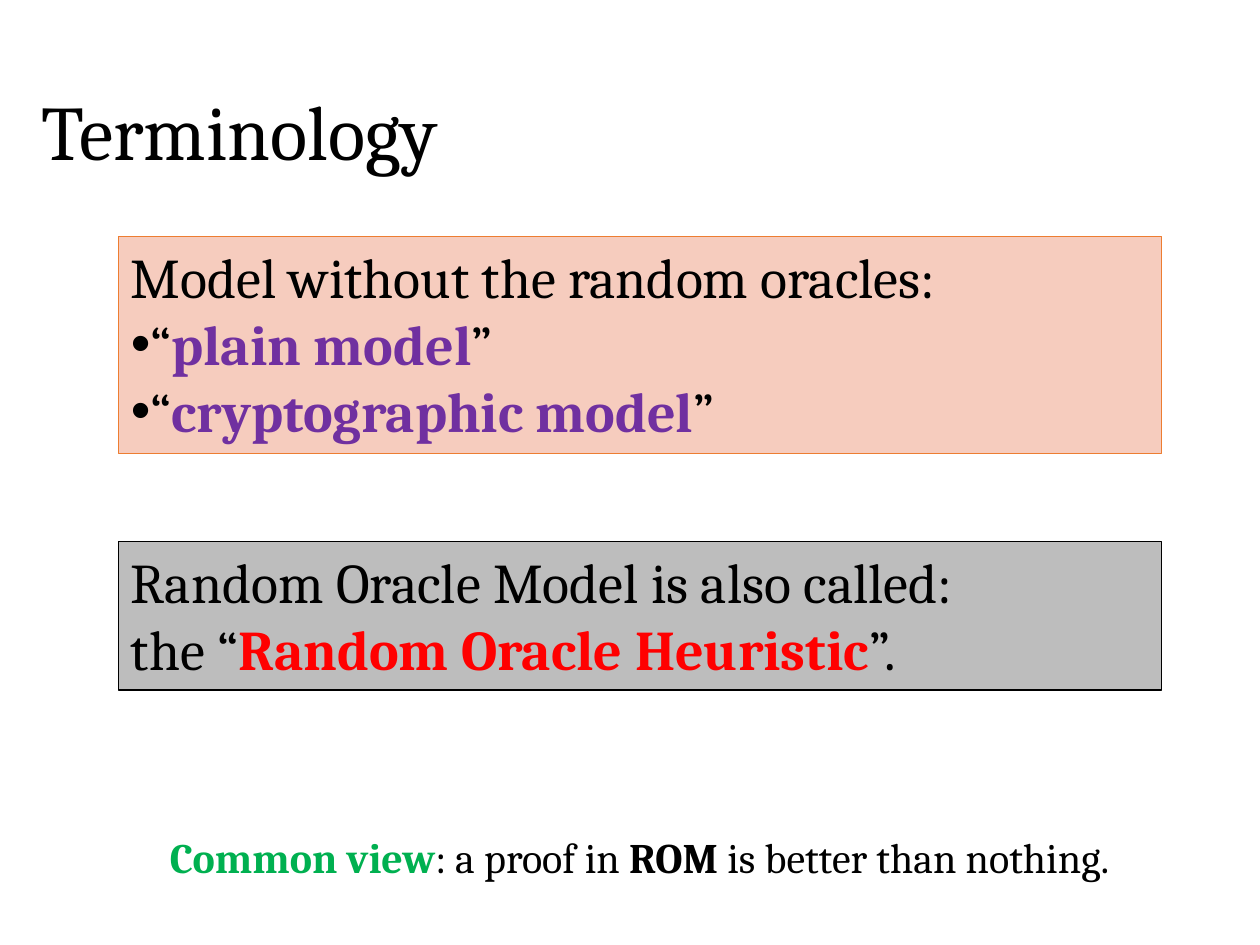
from dataclasses import dataclass

from lxml import etree
from pptx import Presentation
from pptx.dml.color import RGBColor
from pptx.enum.shapes import MSO_SHAPE
from pptx.enum.text import MSO_ANCHOR, MSO_AUTO_SIZE, PP_ALIGN
from pptx.oxml.ns import qn
from pptx.util import Inches, Pt

RECTANGLE = MSO_SHAPE.RECTANGLE
TOP, MIDDLE = MSO_ANCHOR.TOP, MSO_ANCHOR.MIDDLE
NO_AUTOFIT = MSO_AUTO_SIZE.NONE
LEFT = PP_ALIGN.LEFT

SLIDE_WIDTH, SLIDE_HEIGHT = Inches(10), Inches(7.5)
FONT = "Cambria"
BLACK, PURPLE, RED, GREEN = "000000", "7030A0", "FF0000", "00B050"
PANEL_LEFT, PANEL_WIDTH = 0.094, 0.828


@dataclass(frozen=True)
class Span:
    text: str
    color: str = BLACK
    bold: bool = False


@dataclass(frozen=True)
class Line:
    spans: tuple[Span, ...]
    bulleted: bool = False


@dataclass(frozen=True)
class Panel:
    top: float
    height: float
    fill: str
    border: str
    lines: tuple[Line, ...]


def rgb(value: str) -> RGBColor:
    return RGBColor.from_string(value)


def area(left: float, top: float, width: float, height: float) -> tuple[int, ...]:
    return (int(left * SLIDE_WIDTH), int(top * SLIDE_HEIGHT),
            int(width * SLIDE_WIDTH), int(height * SLIDE_HEIGHT))


def quoted(term: str, color: str, before: str = "“", after: str = "”") -> tuple[Span, ...]:
    return Span(before), Span(term, color, True), Span(after)


def add_bullet(paragraph) -> None:
    properties = paragraph._p.get_or_add_pPr()
    properties.set("marL", "0")
    properties.set("indent", "0")
    etree.SubElement(properties, qn("a:buFont")).set("typeface", "Arial")
    etree.SubElement(properties, qn("a:buChar")).set("char", "•")


def write_lines(frame, lines: tuple[Line, ...], size: float, anchor=TOP) -> None:
    frame_format = {"word_wrap": True, "auto_size": NO_AUTOFIT, "vertical_anchor": anchor}
    for attribute, value in frame_format.items():
        setattr(frame, attribute, value)
    for index, line in enumerate(lines):
        paragraph = frame.add_paragraph() if index else frame.paragraphs[0]
        paragraph.alignment = LEFT
        if line.bulleted:
            add_bullet(paragraph)
        for span in line.spans:
            run = paragraph.add_run()
            run.text = span.text
            font_format = {"name": FONT, "size": Pt(size), "bold": span.bold}
            for attribute, value in font_format.items():
                setattr(run.font, attribute, value)
            run.font.color.rgb = rgb(span.color)


def draw_panel(slide, panel: Panel) -> None:
    box = slide.shapes.add_shape(
        RECTANGLE, *area(PANEL_LEFT, panel.top, PANEL_WIDTH, panel.height))
    box.shadow.inherit = False
    box.fill.solid()
    box.fill.fore_color.rgb = rgb(panel.fill)
    box.line.color.rgb = rgb(panel.border)
    box.line.width = Pt(0.79)
    write_lines(box.text_frame, panel.lines, 32)


def draw_title(slide, text: str) -> None:
    title = slide.shapes.title
    title.left, title.top, title.width, title.height = area(0.023, 0.04, 0.954, 0.207)
    write_lines(title.text_frame, (Line((Span(text),)),), 44, MIDDLE)
    title.text_frame.paragraphs[0].line_spacing = 0.9


def draw_remark(slide, remark: Line) -> None:
    box = slide.shapes.add_textbox(*area(0.125, 0.873, 0.852, 0.067))
    write_lines(box.text_frame, (remark,), 24)


PANELS = (
    Panel(0.25, 0.23, "F6CCBE", "ED7D31", (
        Line((Span("Model without the random oracles:"),)),
        Line(quoted("plain model", PURPLE), True),
        Line(quoted("cryptographic model", PURPLE), True),
    )),
    Panel(0.573, 0.157, "BDBDBD", BLACK, (
        Line((Span("Random Oracle Model is also called:"),)),
        Line(quoted("Random Oracle Heuristic", RED, "the “", "”.")),
    )),
)
COMMON_VIEW = Line((
    Span("Common view", GREEN, True),
    Span(": a proof in "),
    Span("ROM", bold=True),
    Span(" is better than nothing."),
))


def main() -> None:
    deck = Presentation()
    deck.slide_width, deck.slide_height = SLIDE_WIDTH, SLIDE_HEIGHT
    slide = deck.slides.add_slide(deck.slide_layouts.get_by_name("Title Only"))
    draw_title(slide, "Terminology")
    for panel in PANELS:
        draw_panel(slide, panel)
    draw_remark(slide, COMMON_VIEW)
    deck.save("out.pptx")


if __name__ == "__main__":
    main()
